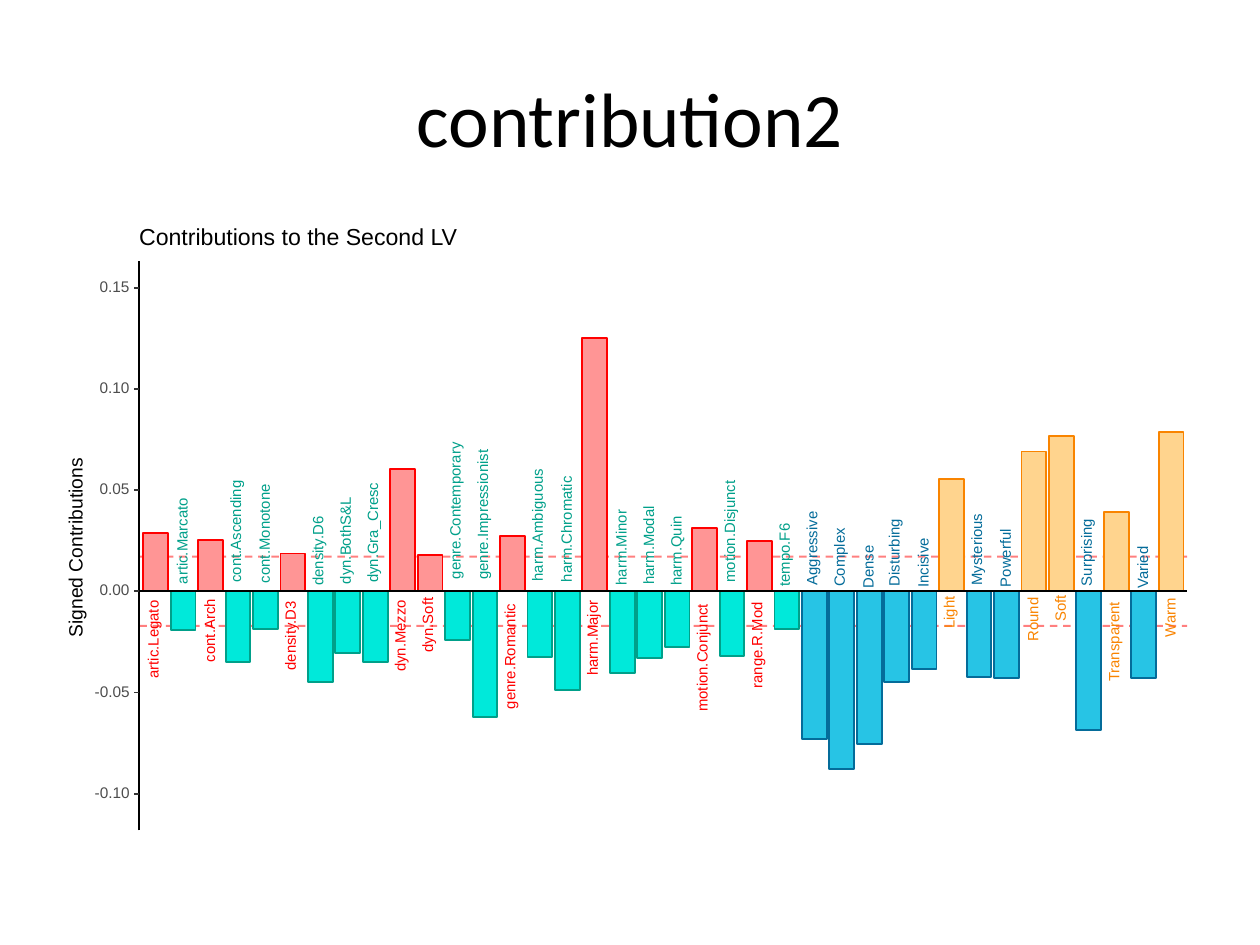
from dataclasses import dataclass

from lxml import etree
from pptx import Presentation
from pptx import util as u
from pptx.dml.color import RGBColor
from pptx.enum import dml, shapes, text
from pptx.oxml import ns


@dataclass(frozen=True)
class Theme:
    heading_font: str = "Calibri"
    chart_font: str = "Arial"
    black: str = "000000"
    white: str = "FFFFFF"
    tick: str = "333333"
    tick_text: str = "4D4D4D"
    threshold: str = "FF0000"
    music_up: tuple = ("FF9595", "FF0000")
    music_down: tuple = ("00E9DA", "00A08A")
    mood_up: tuple = ("FFD48E", "F98400")
    mood_down: tuple = ("27C4E5", "046C9A")
    heading_size: float = 44
    title_size: float = 13.2
    axis_size: float = 11
    tick_size: float = 8.8
    label_size: float = 8.5
    stroke: float = 1.07


THEME = Theme()

PLOT_LEFT, PLOT_RIGHT = 2.81, 23.93
PLOT_TOP, PLOT_BOTTOM = 5.26, 16.74
ZERO_Y = 11.92
PERCENT = 2.04 / 5
FIRST_BAR, LAST_BAR, BAR_WIDTH = 2.89, 23.36, 0.5
THRESHOLD = 1.71
LABEL_SLACK = 0.06

MUSIC = [
    ("artic.Legato", 1.57, 2.86), ("artic.Marcato", 1.75, -1.93),
    ("cont.Arch", 1.27, 2.55), ("cont.Ascending", 2.06, -3.49),
    ("cont.Monotone", 1.98, -1.87), ("density.D3", 1.42, 1.87),
    ("density.D6", 1.42, -4.48), ("dyn.BothS&L", 1.75, -3.05),
    ("dyn.Gra_Cresc", 2.03, -3.49), ("dyn.Mezzo", 1.45, 6.04),
    ("dyn.Soft", 1.09, 1.81), ("genre.Contemporary", 2.77, -2.43),
    ("genre.Impressionist", 2.62, -6.23), ("genre.Romantic", 2.13, 2.74),
    ("harm.Ambiguous", 2.29, -3.24), ("harm.Chromatic", 2.13, -4.86),
    ("harm.Major", 1.52, 12.52), ("harm.Minor", 1.52, -4.05),
    ("harm.Modal", 1.6, -3.3), ("harm.Quin", 1.4, -2.74),
    ("motion.Conjunct", 2.18, 3.11), ("motion.Disjunct", 2.06, -3.18),
    ("range.R.Mod", 1.75, 2.49), ("tempo.F6", 1.27, -1.87),
]
MOOD = [
    ("Aggressive", 1.5, -7.29), ("Complex", 1.19, -8.78),
    ("Dense", 0.86, -7.53), ("Disturbing", 1.35, -4.48),
    ("Incisive", 1.02, -3.86), ("Light", 0.66, 5.54),
    ("Mysterious", 1.45, -4.23), ("Powerful", 1.17, -4.3),
    ("Round", 0.89, 6.91), ("Soft", 0.53, 7.66),
    ("Surprising", 1.35, -6.85), ("Transparent", 1.63, 3.92),
    ("Varied", 0.86, -4.3), ("Warm", 0.81, 7.85),
]


def rgb(color):
    return RGBColor.from_string(color)


def y_of(percent):
    return ZERO_Y - percent * PERCENT


def add_span(para, words, font, size, color):
    span = para.add_run()
    span.text = words
    span.font.name = font
    span.font.size = u.Pt(size)
    span.font.color.rgb = rgb(color)


def add_title(page, words):
    title = page.shapes.title
    title.left, title.top = u.Cm(1.27), u.Cm(0.76)
    title.width, title.height = u.Cm(22.86), u.Cm(3.18)
    title.text_frame.vertical_anchor = text.MSO_ANCHOR.MIDDLE
    para = title.text_frame.paragraphs[0]
    para.alignment = text.PP_ALIGN.CENTER
    add_span(para, words, THEME.heading_font, THEME.heading_size, THEME.black)


def add_rect(group, left, top, width, height, fill, line):
    rect = group.shapes.add_shape(
        shapes.MSO_SHAPE.RECTANGLE, u.Cm(left), u.Cm(top), u.Cm(width), u.Cm(height))
    rect.shadow.inherit = False
    rect.fill.solid()
    rect.fill.fore_color.rgb = rgb(fill)
    rect.line.color.rgb = rgb(line)
    rect.line.width = u.Pt(THEME.stroke)


def add_line(group, x1, y1, x2, y2, color):
    line = group.shapes.add_connector(
        shapes.MSO_CONNECTOR.STRAIGHT, u.Cm(x1), u.Cm(y1), u.Cm(x2), u.Cm(y2))
    line.line.color.rgb = rgb(color)
    line.line.width = u.Pt(THEME.stroke)
    etree.SubElement(line._element.spPr, ns.qn("a:effectLst"))
    return line


def add_threshold(group, percent):
    y = y_of(percent)
    line = add_line(group, PLOT_LEFT, y, PLOT_RIGHT, y, THEME.threshold)
    line.line.dash_style = dml.MSO_LINE.DASH
    color = line._element.spPr.find(".//" + ns.qn("a:srgbClr"))
    etree.SubElement(color, ns.qn("a:alpha"), val="50000")


def add_label(group, words, center_x, center_y, width, height, size, color, rotation=0):
    width += LABEL_SLACK
    box = group.shapes.add_textbox(
        u.Cm(center_x - width / 2), u.Cm(center_y - height / 2), u.Cm(width), u.Cm(height))
    box.rotation = rotation
    frame = box.text_frame
    frame.word_wrap = False
    frame.vertical_anchor = text.MSO_ANCHOR.MIDDLE
    frame.margin_left = frame.margin_right = frame.margin_top = frame.margin_bottom = 0
    para = frame.paragraphs[0]
    para.line_spacing = u.Pt(size)
    add_span(para, words, THEME.chart_font, size, color)


def add_bars(group):
    rows = [(*row, THEME.music_up, THEME.music_down) for row in MUSIC]
    rows += [(*row, THEME.mood_up, THEME.mood_down) for row in MOOD]
    step = (LAST_BAR - FIRST_BAR) / (len(rows) - 1)
    labels = []
    for index, (name, width, percent, up, down) in enumerate(rows):
        left = FIRST_BAR + index * step
        fill, line = up if percent > 0 else down
        top = min(ZERO_Y, y_of(percent))
        add_rect(group, left, top, BAR_WIDTH, abs(percent) * PERCENT, fill, line)
        side = 1 if percent > 0 else -1
        descends = any(letter in "gjpy" for letter in name)
        center_x = left + BAR_WIDTH / 2 - (0.03 if descends else 0)
        labels.append((name, center_x, ZERO_Y + side * 0.6 * width, width,
                       0.28 if descends else 0.23, THEME.label_size, line, 270))
    for label in labels:
        add_label(group, *label)


def add_axes(group):
    add_line(group, PLOT_LEFT, ZERO_Y, PLOT_RIGHT, ZERO_Y, THEME.black)
    add_line(group, PLOT_LEFT, PLOT_BOTTOM, PLOT_LEFT, PLOT_TOP, THEME.black)
    for percent in range(-10, 16, 5):
        y = y_of(percent)
        width = 0.71 if percent < 0 else 0.61
        add_label(group, f"{percent / 100:.2f}", 2.65 - width / 2, y, width, 0.23,
                  THEME.tick_size, THEME.tick_text)
        add_line(group, PLOT_LEFT - 0.1, y, PLOT_LEFT, y, THEME.tick)


def main():
    deck = Presentation()
    deck.slide_width, deck.slide_height = u.Cm(25.4), u.Cm(19.05)
    page = deck.slides.add_slide(deck.slide_layouts[5])
    add_title(page, "contribution2")
    group = page.shapes.add_group_shape()
    add_rect(group, 1.27, 4.45, 22.86, 12.57, THEME.white, THEME.white)
    for percent in (THRESHOLD, -THRESHOLD):
        add_threshold(group, percent)
    add_bars(group)
    add_axes(group)
    add_label(group, "Signed Contributions", 1.55, 11, 3.64, 0.36,
              THEME.axis_size, THEME.black, 270)
    add_label(group, "Contributions to the Second LV", PLOT_LEFT + 3.25, 4.8, 6.45, 0.36,
              THEME.title_size, THEME.black)
    deck.save("out.pptx")


main()
